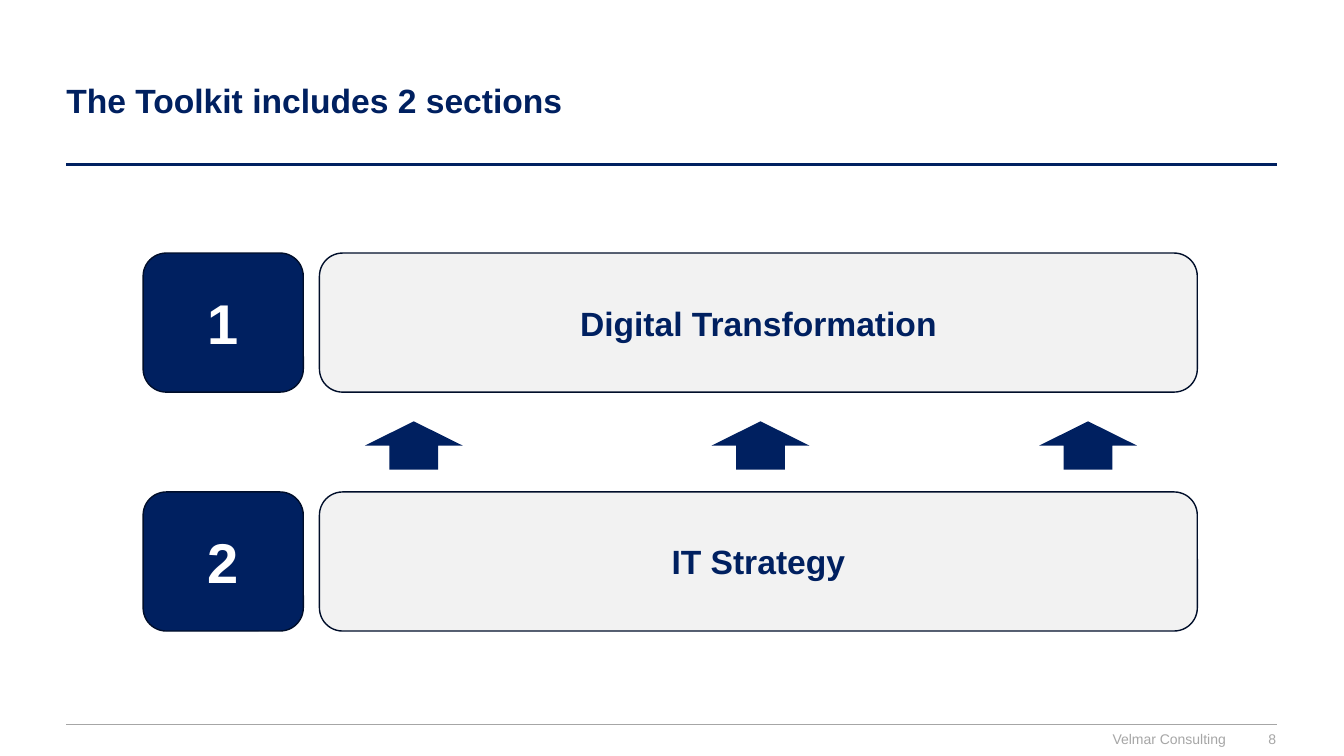
from lxml import etree
from pptx import Presentation
from pptx import util as u
from pptx.dml.color import RGBColor
from pptx.enum import shapes, text
from pptx.oxml.ns import qn

NAVY, EDGE, PALE, GREY, WHITE = "002060", "000E2A", "F2F2F2", "A6A6A6", "FFFFFF"


def colour(code):
    return RGBColor.from_string(code)


class Painter:
    """Draws on one page; every length is a percentage of the page size."""

    font = "Arial"

    def __init__(self, deck):
        self.deck = deck
        self.page = deck.slides.add_slide(deck.slide_layouts[6])

    def across(self, share):
        return round(self.deck.slide_width * share / 100)

    def down(self, share):
        return round(self.deck.slide_height * share / 100)

    def place(self, left, top, width, height):
        return self.across(left), self.down(top), self.across(width), self.down(height)

    def set_words(self, box, words, size, tint, bold=True, align="CENTER", inset=None):
        frame = box.text_frame
        frame.word_wrap = True
        frame.vertical_anchor = text.MSO_ANCHOR.MIDDLE
        if inset is not None:
            for side in ("left", "top", "right", "bottom"):
                setattr(frame, f"margin_{side}", inset)
        para = frame.paragraphs[0]
        para.alignment = text.PP_ALIGN[align]
        span = para.add_run()
        span.text = words
        for name, value in {"name": self.font, "size": u.Pt(size), "bold": bold}.items():
            setattr(span.font, name, value)
        span.font.color.rgb = colour(tint)

    def label(self, area, words, size, tint, **style):
        box = self.page.shapes.add_textbox(*self.place(*area))
        self.set_words(box, words, size, tint, **style)

    def shape(self, kind, area, fill, edge=None):
        box = self.page.shapes.add_shape(kind, *self.place(*area))
        box.shadow.inherit = False
        box.fill.solid()
        box.fill.fore_color.rgb = colour(fill)
        if edge:
            box.line.color.rgb = colour(edge)
            box.line.width = u.Pt(1)
        else:
            box.line.fill.background()
        return box

    def card(self, area, words, size, fill, tint):
        box = self.shape(shapes.MSO_SHAPE.ROUNDED_RECTANGLE, area, fill, EDGE)
        self.set_words(box, words, size, tint)

    def up_arrow(self, area):
        self.shape(shapes.MSO_SHAPE.DOWN_ARROW, area, NAVY).rotation = 180

    def rule(self, left, right, top, tint, weight):
        line = self.page.shapes.add_connector(
            shapes.MSO_CONNECTOR.STRAIGHT,
            self.across(left), self.down(top), self.across(right), self.down(top))
        line.line.color.rgb = colour(tint)
        line.line.width = u.Pt(weight)
        etree.SubElement(line._element.spPr, qn("a:effectLst"))


def main():
    deck = Presentation()
    deck.slide_width, deck.slide_height = u.Inches(13.33), u.Inches(7.5)
    painter = Painter(deck)

    # Header and footer rules
    painter.rule(4.95, 95.02, 21.73, NAVY, 2)
    painter.rule(4.95, 95.02, 95.87, GREY, 1)

    # Title
    painter.label((4.2, 5.33, 90.82, 15.73), "The Toolkit includes 2 sections",
                  24, NAVY, align="LEFT")

    # Numbered sections
    first_row, row_pitch, row_height = 33.47, 31.6, 18.4
    for index, section in enumerate(("Digital Transformation", "IT Strategy")):
        top = first_row + index * row_pitch
        painter.card((23.77, top, 65.32, row_height), section, 24, PALE, NAVY)
        painter.card((10.65, top, 11.92, row_height), str(index + 1), 40, NAVY, WHITE)

    # Arrows from the lower section to the upper one
    for left in (27.15, 52.95, 77.32):
        painter.up_arrow((left, 55.73, 7.27, 6.4))

    # Footer
    for area, words in (((70.65, 96.67, 20.55, 2.27), "Velmar Consulting"),
                        ((92.02, 96.4, 2.92, 2.8), "8")):
        painter.label(area, words, 10, GREY, bold=False, align="RIGHT", inset=0)

    deck.save("out.pptx")


if __name__ == "__main__":
    main()
